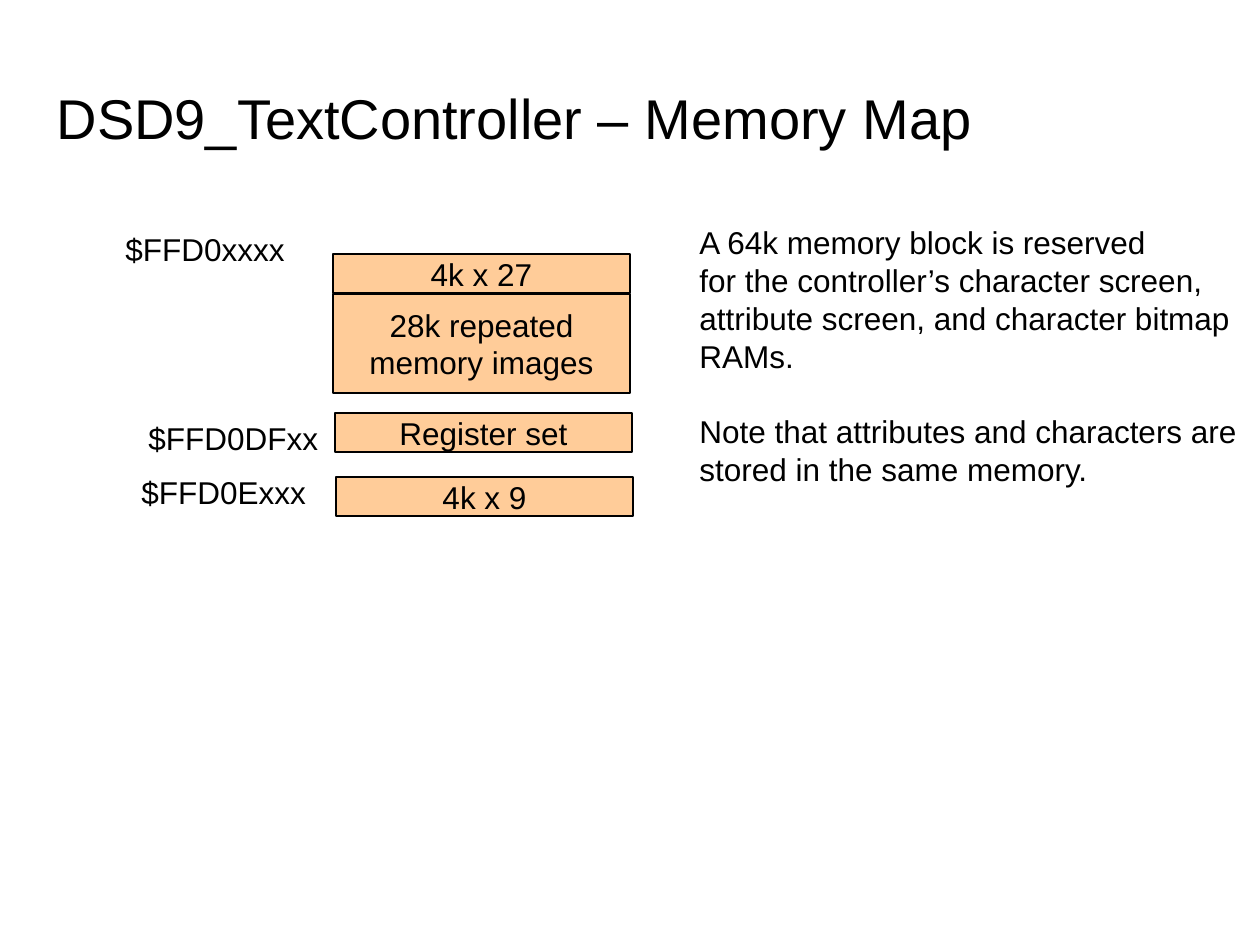
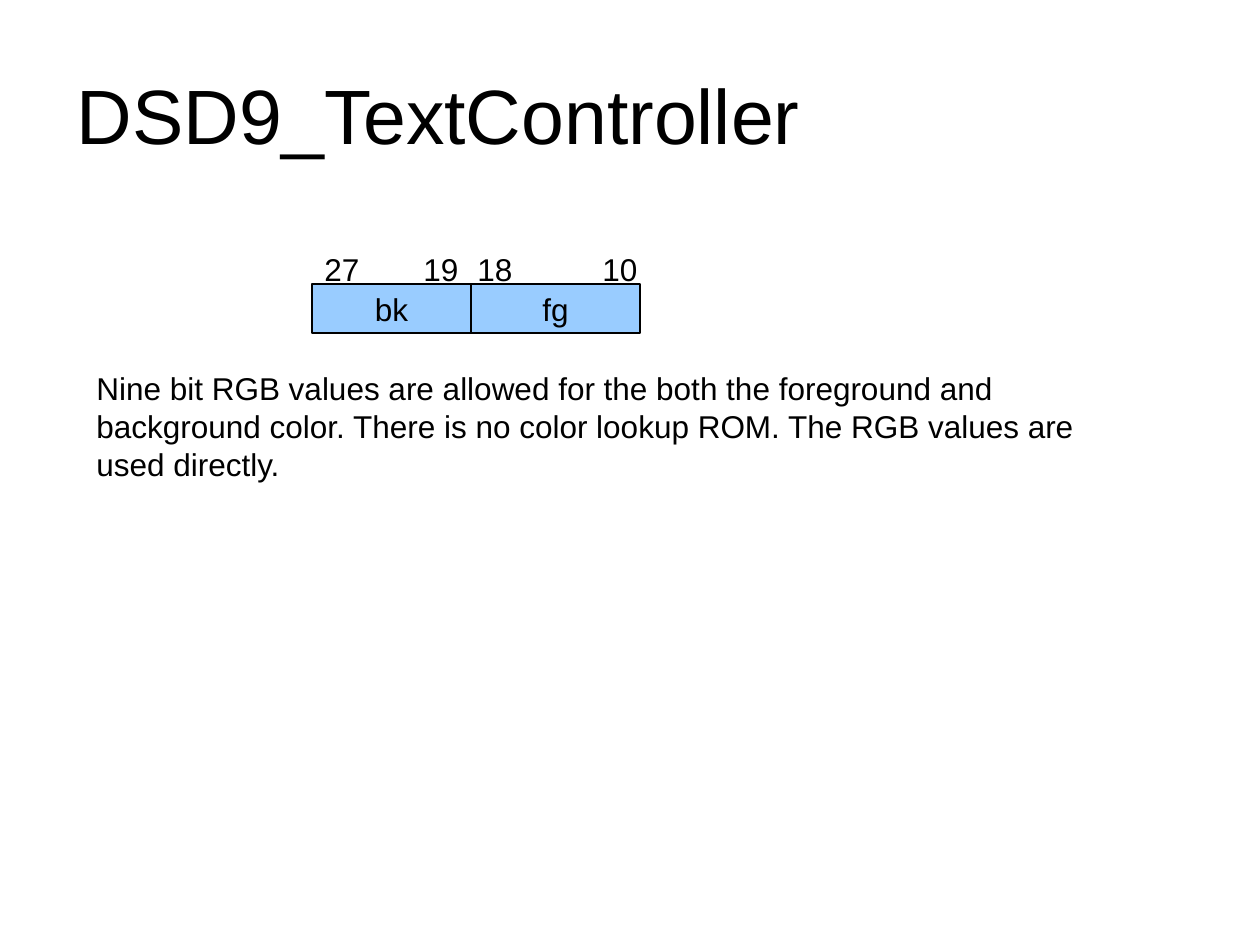
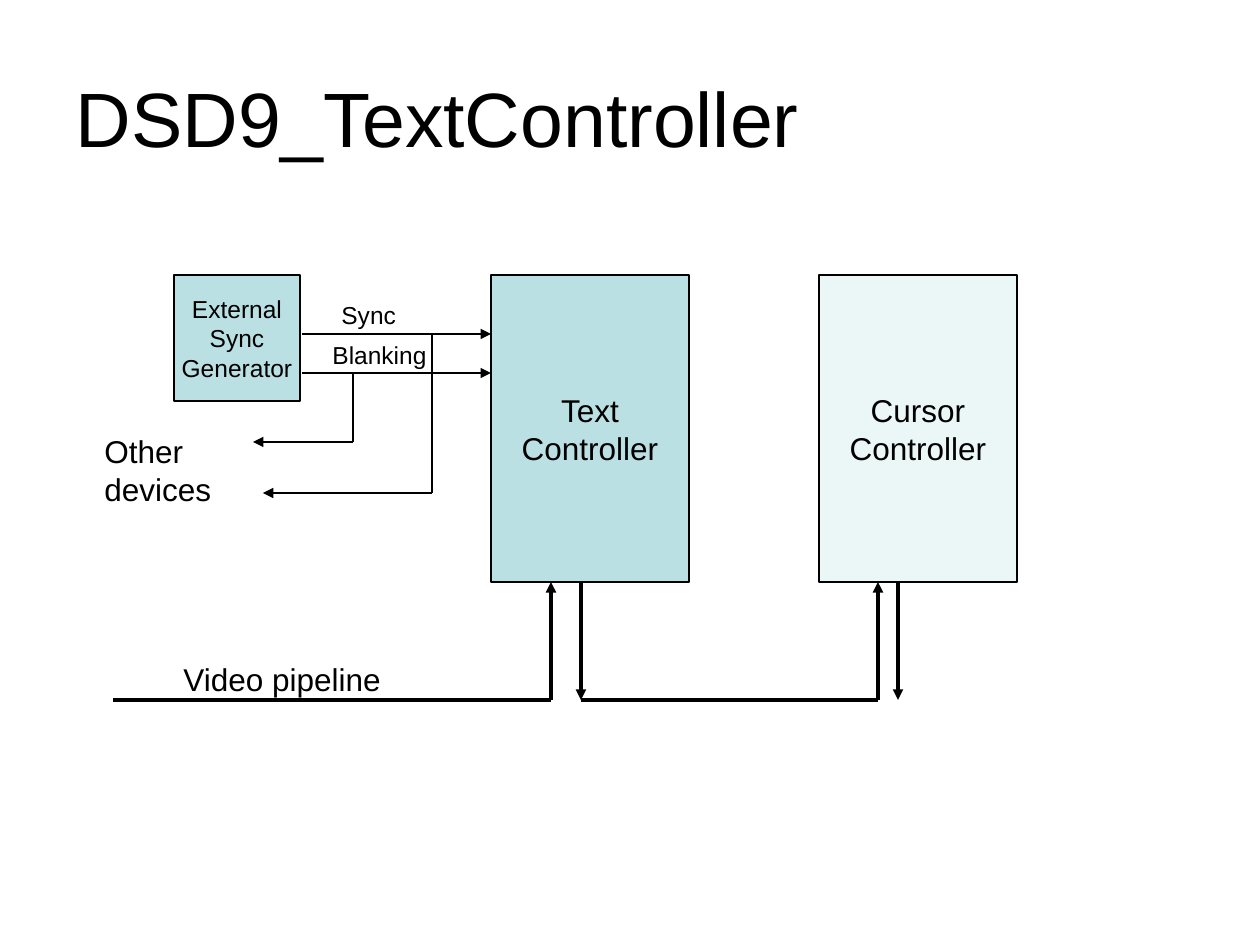
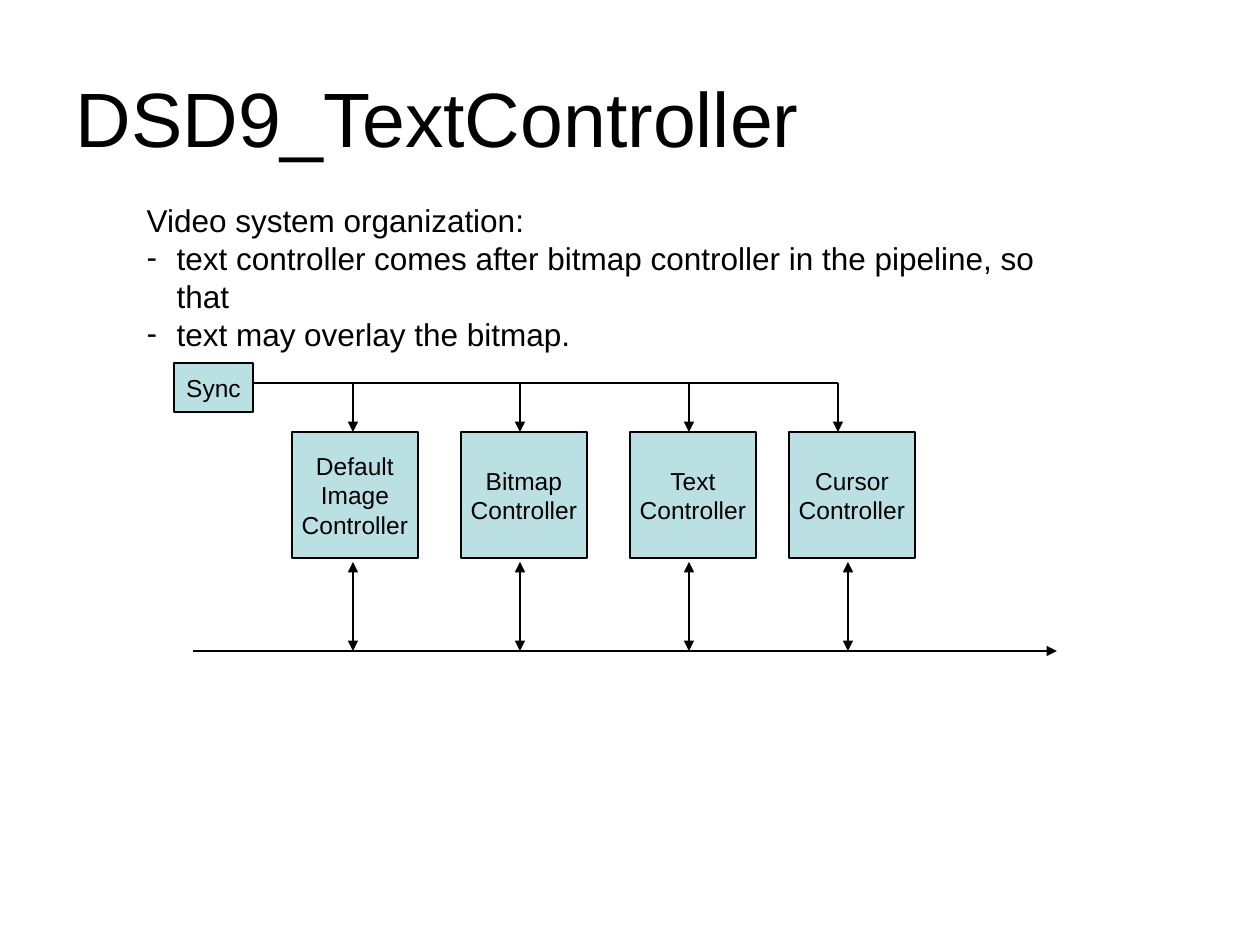
import pptx
import pptx.util
import pptx.dml.color
import pptx.enum.shapes
import pptx.enum.text
import pptx.oxml
import pptx.oxml.ns

RGB = pptx.dml.color.RGBColor
ALIGN = pptx.enum.text.PP_ALIGN
ANCHOR = pptx.enum.text.MSO_ANCHOR
qn = pptx.oxml.ns.qn

SCALE = 914400 // 126  # EMU per pixel
FONT = "Arial"
BLACK = RGB(0x00, 0x00, 0x00)
PEACH = RGB(0xFF, 0xCC, 0x99)
SKY = RGB(0x99, 0xCC, 0xFF)
TEAL = RGB(0xBB, 0xE0, 0xE3)
THIN, THICK = 0.75, 2
LABEL = 50   # height of a one-line label
SMALL = 42   # height of a small label
BLOCK = 126  # side of a square block

# Memory map: text and place
REGIONS = [
    ("4k x 27", (333, 254, 297, 39)),
    ("28k repeated\nmemory images", (333, 294, 297, 99)),
    ("Register set", (335, 413, 297, 39)),
    ("4k x 9", (336, 477, 297, 39)),
]
ADDRESSES = [
    ("$FFD0xxxx", (113, 224, 185, LABEL)),
    ("$FFD0DFxx", (136, 413, 197, LABEL)),
    ("$FFD0Exxx", (129, 467, 193, LABEL)),
]
NOTE = ("A 64k memory block is reserved\n"
        "for the controller\u2019s character screen,\n"
        "attribute screen, and character bitmap\n"
        "RAMs.\n"
        "Note that attributes and characters are\n"
        "stored in the same memory.")

# Colour word: name, left, width; then bit number, left
FIELDS = [("bk", 312, 159), ("fg", 471, 169)]
BITS = [("27", 312), ("19", 411), ("18", 465), ("10", 590)]
COLORS = ("Nine bit RGB values are allowed for the both the foreground and "
          "background color. There is no color lookup ROM. The RGB values "
          "are used directly.")

# Signals: text, place, size, share of fill that is opaque
UNITS = [
    ("External\nSync\nGenerator", (174, 275, BLOCK, BLOCK), 14, 100),
    ("Text\nController", (491, 275, 198, 307), 18, 100),
    ("Cursor\nController", (819, 275, 198, 307), 18, 29),
]
SIGNALS = [
    ("Sync", (329, 294, 79, SMALL), 14),
    ("Blanking", (320, 334, 120, SMALL), 14),
    ("Other\ndevices", (92, 426, 132, 88), 18),
    ("Video pipeline", (171, 654, 223, LABEL), 18),
]
WIRES = [
    [(302, 334), (491, 334)],
    [(302, 373), (491, 373)],
    [(353, 373), (353, 442), (253, 442)],
    [(432, 334), (432, 493), (263, 493)],
]
PIPES = [
    [(113, 700), (551, 700), (551, 582)],
    [(581, 582), (581, 700)],
    [(581, 700), (878, 700), (878, 582)],
    [(898, 582), (898, 700)],
]

# Video system: text, left, sync drop, pipeline tap
STAGES = [
    ("Default\nImage\nController", 292, 353, 353),
    ("Bitmap\nController", 461, 520, 520),
    ("Text\nController", 630, 689, 689),
    ("Cursor\nController", 789, 838, 848),
]
INTRO = "Video system organization:"
POINTS = ["text controller comes after bitmap controller in the pipeline, so that",
          "text may overlay the bitmap."]
BUS, TOP, TAP, RAIL = 383, 432, 562, 651

deck = pptx.Presentation()
deck.slide_width = pptx.util.Inches(10)
deck.slide_height = pptx.util.Inches(7.5)


def emu(*nums):
    """Turn pixels into EMU."""
    return [num * SCALE for num in nums]


def write(frame, text, size=18, align=ALIGN.LEFT, anchor=ANCHOR.TOP, wrap=False):
    """Fill a text frame and format all of its paragraphs."""
    frame.text = text
    frame.auto_size = pptx.enum.text.MSO_AUTO_SIZE.NONE
    frame.word_wrap = wrap
    frame.vertical_anchor = anchor
    for para in frame.paragraphs:
        para.alignment = align
        para.space_before = pptx.util.Pt(0)
        for run in para.runs:
            run.font.name = FONT
            run.font.size = pptx.util.Pt(size)
            run.font.color.rgb = BLACK


def place(shape, box):
    """Move a placeholder to a box."""
    shape.left, shape.top, shape.width, shape.height = emu(*box)


def start(title, box=(63, 38, 1134, 158), size=44, layout=5):
    """Add a slide with its title."""
    slide = deck.slides.add_slide(deck.slide_layouts[layout])
    place(slide.shapes.title, box)
    write(slide.shapes.title.text_frame, title, size=size,
          anchor=ANCHOR.MIDDLE, wrap=True)
    return slide


def label(slide, text, box, **style):
    """Add a text box and return its frame."""
    frame = slide.shapes.add_textbox(*emu(*box)).text_frame
    write(frame, text, **style)
    return frame


def block(slide, text, box, fill, size=18, solid=100):
    """Add an outlined rectangle with centred text."""
    shape = slide.shapes.add_shape(
        pptx.enum.shapes.MSO_SHAPE.RECTANGLE, *emu(*box))
    shape.shadow.inherit = False
    shape.fill.solid()
    shape.fill.fore_color.rgb = fill
    if solid < 100:
        color = shape.element.spPr.find(qn("a:solidFill"))[0]
        color.append(extra("a:alpha", val=solid * 1000))
    shape.line.color.rgb = BLACK
    shape.line.width = pptx.util.Pt(THIN)
    write(shape.text_frame, text, size=size, align=ALIGN.CENTER,
          anchor=ANCHOR.MIDDLE)


def extra(tag, **attrs):
    """Make an XML element with attributes."""
    node = pptx.oxml.parse_xml(
        "<%s %s/>" % (tag, pptx.oxml.ns.nsdecls("a")))
    for name, val in attrs.items():
        node.set(name, str(val))
    return node


def route(slide, points, width=THIN, ends=("tailEnd",)):
    """Draw straight lines through points, with arrowheads on the last."""
    for start_pt, end_pt in zip(points, points[1:]):
        line = slide.shapes.add_connector(
            pptx.enum.shapes.MSO_CONNECTOR.STRAIGHT, *emu(*start_pt, *end_pt))
        line.line.color.rgb = BLACK
        line.line.width = pptx.util.Pt(width)
        props = line.element.find(qn("p:spPr"))
        props.append(extra("a:effectLst"))
        if end_pt == points[-1]:
            for end in ends:
                props.find(qn("a:ln")).append(extra("a:" + end, type="triangle"))


def outline(shape, intro, items):
    """Write an intro line and a dashed list in a body placeholder."""
    write(shape.text_frame, "\n".join([intro] + items), wrap=True)
    for rank, para in enumerate(shape.element.iter(qn("a:p"))):
        props = para.get_or_add_pPr()
        indent = 30 * SCALE if rank else 0
        props.set("marL", str(indent))
        props.set("indent", str(-indent))
        props.append(extra("a:buChar", char="-") if rank else extra("a:buNone"))


def memory():
    """Build the memory map slide."""
    slide = start("DSD9_TextController \u2013 Memory Map",
                  box=(44, 38, 1171, 158), size=32)
    for text, box in REGIONS:
        block(slide, text, box, PEACH)
    for text, box in ADDRESSES:
        label(slide, text, box)
    frame = label(slide, NOTE, (687, 217, 568, 280))
    frame.paragraphs[4].space_before = pptx.util.Pt(21.5)


def colors():
    """Build the colour word slide."""
    slide = start("DSD9_TextController", box=(64, 35, 1134, 158))
    for text, left in BITS:
        label(slide, text, (left, 244, 60, LABEL))
    for text, left, width in FIELDS:
        block(slide, text, (left, 284, width, 49), SKY)
    label(slide, COLORS, (84, 363, 1072, 127), wrap=True)


def signals():
    """Build the sync and pipeline slide."""
    slide = start("DSD9_TextController")
    for text, box, size, solid in UNITS:
        block(slide, text, box, TEAL, size=size, solid=solid)
    for points in WIRES:
        route(slide, points)
    for points in PIPES:
        route(slide, points, width=THICK)
    for text, box, size in SIGNALS:
        label(slide, text, box, size=size)


def system():
    """Build the video system slide."""
    slide = start("DSD9_TextController", layout=1)
    body = slide.placeholders[1]
    place(body, (134, 195, 955, 165))
    outline(body, INTRO, POINTS)
    block(slide, "Sync", (174, 363, 79, 49), TEAL, size=14)
    route(slide, [(253, BUS), (STAGES[-1][2], BUS)], ends=())
    route(slide, [(193, RAIL), (1057, RAIL)])
    for text, left, drop, tap in STAGES:
        block(slide, text, (left, TOP, BLOCK, BLOCK), TEAL, size=14)
        route(slide, [(drop, BUS), (drop, TOP)])
        route(slide, [(tap, RAIL), (tap, TAP)], ends=("headEnd", "tailEnd"))


memory()
colors()
signals()
system()
deck.save("out.pptx")
